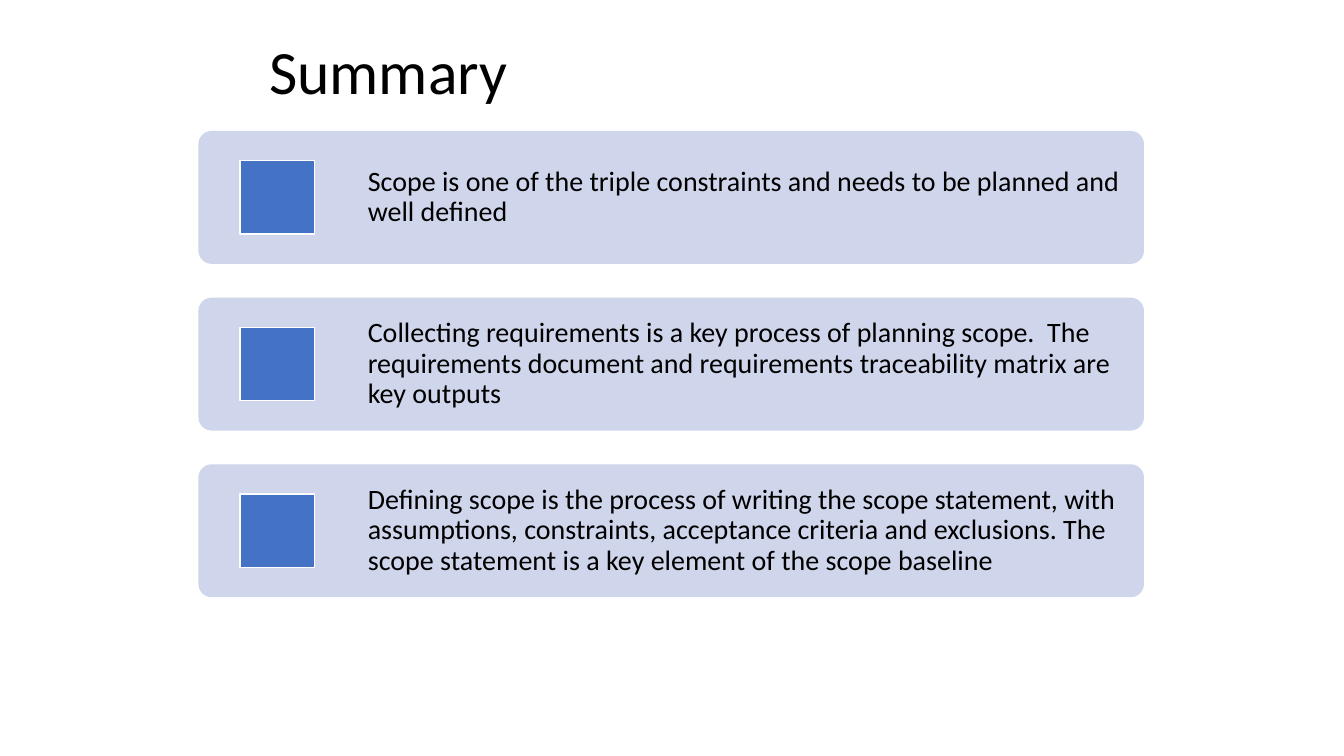
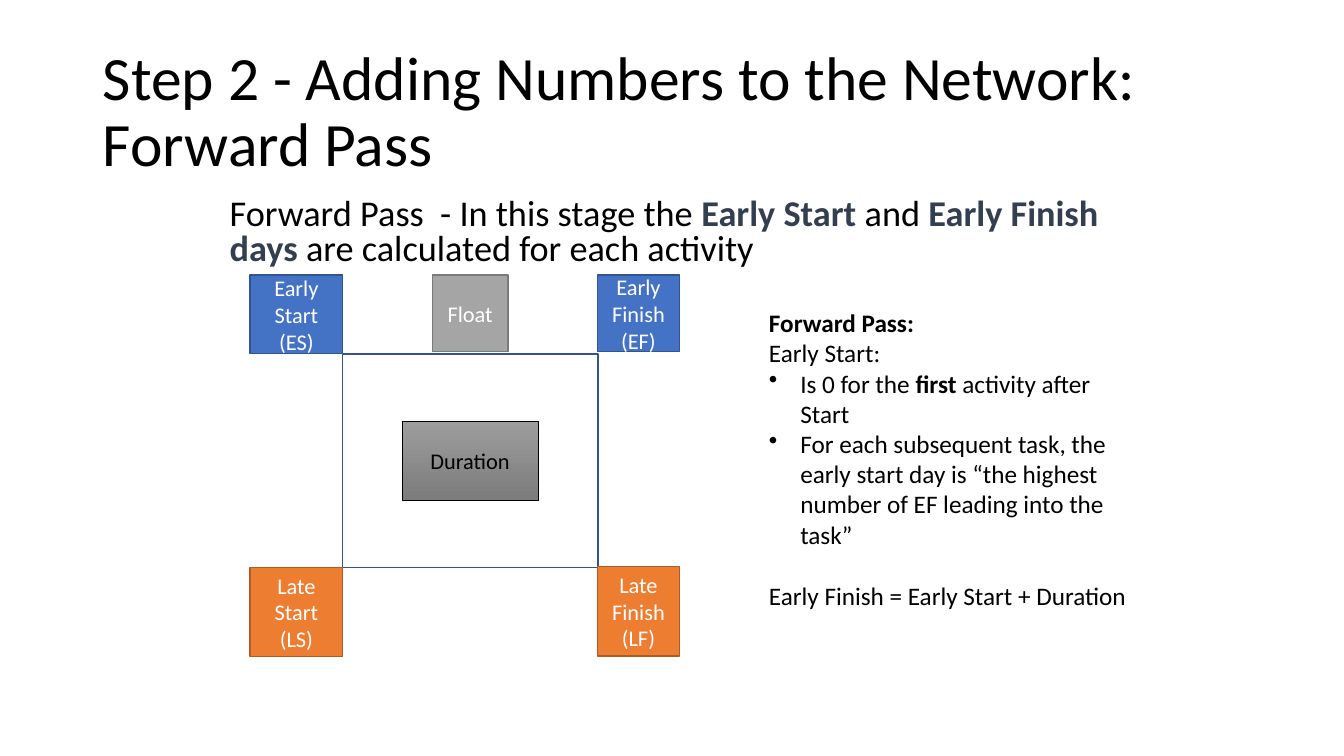
from lxml import etree
from pptx import Presentation
from pptx.dml.color import RGBColor
from pptx.enum.shapes import MSO_SHAPE
from pptx.enum.text import MSO_ANCHOR, MSO_AUTO_SIZE, PP_ALIGN
from pptx.oxml.ns import qn
from pptx.util import Cm, Pt

RECT, ROUNDED = MSO_SHAPE.RECTANGLE, MSO_SHAPE.ROUNDED_RECTANGLE
MIDDLE = MSO_ANCHOR.MIDDLE
LEFT, CENTER = PP_ALIGN.LEFT, PP_ALIGN.CENTER
NO_AUTOFIT = MSO_AUTO_SIZE.NONE

FONT = "Calibri"
COLORS = {
    "text": "000000",
    "white": "FFFFFF",
    "emphasis": "333F50",
    "card": "CFD5EA",
    "early": "4472C4",
    "early_line": "325491",
    "late": "ED7D31",
    "late_line": "AF5C24",
    "float": "A5A5A5",
    "float_line": "7A7A7A",
    "duration_top": "9D9D9D",
    "duration_bottom": "7C7C7C",
}

SUMMARY_POINTS = [
    "Scope is one of the triple constraints and needs to be planned and well defined",
    "Collecting requirements is a key process of planning scope.  The requirements "
    "document and requirements traceability matrix are key outputs",
    "Defining scope is the process of writing the scope statement, with assumptions, "
    "constraints, acceptance criteria and exclusions. The scope statement is a key "
    "element of the scope baseline",
]
# Label, colour, and left, top, width, height in cm
ACTIVITY_CORNERS = [
    ("Early Start (ES)", "early", (6.3, 6.93, 2.34, 1.98)),
    ("Early Finish (EF)", "early", (15.06, 6.93, 2.06, 1.93)),
    ("Late Start (LS)", "late", (6.3, 14.3, 2.34, 2.24)),
    ("Late Finish (LF)", "late", (15.06, 14.27, 2.06, 2.26)),
    ("Float", "float", (10.9, 6.93, 1.9, 1.93)),
]


def rgb(name):
    return RGBColor.from_string(COLORS[name])


def cm_box(box):
    return [Cm(value) for value in box]


def add_run(paragraph, text, size, color="text", bold=False):
    run = paragraph.add_run()
    run.text = text
    run.font.name = FONT
    run.font.size = Pt(size)
    run.font.bold = bold
    run.font.color.rgb = rgb(color)


def add_bullet(paragraph, indent):
    properties = paragraph._p.get_or_add_pPr()
    properties.set("marL", str(indent))
    properties.set("indent", str(-indent))
    etree.SubElement(properties, qn("a:buChar")).set("char", "•")


def add_titled_slide(prs, title, box):
    slide = prs.slides.add_slide(prs.slide_layouts[5])
    heading = slide.shapes.title
    heading.left, heading.top, heading.width, heading.height = cm_box(box)
    frame = heading.text_frame
    frame.auto_size = NO_AUTOFIT
    frame.vertical_anchor = MIDDLE
    paragraph = frame.paragraphs[0]
    paragraph.alignment = LEFT
    paragraph.line_spacing = 0.9
    add_run(paragraph, title, 44)
    return slide


def add_panel(slide, box, fill, line=None, preset=RECT):
    panel = slide.shapes.add_shape(preset, *cm_box(box))
    panel.shadow.inherit = False
    panel.fill.solid()
    panel.fill.fore_color.rgb = rgb(fill)
    if line:
        panel.line.color.rgb = rgb(line)
        panel.line.width = Pt(1)
    else:
        panel.line.fill.background()
    return panel


def add_text_frame(slide, box):
    frame = slide.shapes.add_textbox(*cm_box(box)).text_frame
    frame.word_wrap = True
    return frame


def label_panel(panel, text, color):
    panel.text_frame.vertical_anchor = MIDDLE
    paragraph = panel.text_frame.paragraphs[0]
    paragraph.alignment = CENTER
    add_run(paragraph, text, 16, color)


def add_summary_card(slide, top, text):
    height, icon_height = 3.35, 1.85
    card = add_panel(slide, (5, top, 23.83, height), "card", preset=ROUNDED)
    card.adjustments[0] = 0.1
    icon_top = top + (height - icon_height) / 2
    add_panel(slide, (6.05, icon_top, 1.88, icon_height), "early", "white")

    frame = add_text_frame(slide, (8.94, top, 19.89, height))
    frame.vertical_anchor = MIDDLE
    frame.margin_left = frame.margin_right = Cm(0.33)
    frame.margin_top = frame.margin_bottom = Cm(0.33)
    frame.paragraphs[0].line_spacing = 0.9
    add_run(frame.paragraphs[0], text, 20)


def add_activity_diagram(slide):
    add_panel(slide, (8.64, 8.92, 6.43, 5.38), "white", "early_line")
    for label, color, box in ACTIVITY_CORNERS:
        corner = add_panel(slide, box, color, color + "_line")
        label_panel(corner, label, "white")

    duration = add_panel(slide, (10.13, 10.62, 3.43, 1.98), "duration_top", "text")
    duration.line.width = Pt(0.5)
    duration.fill.gradient()
    duration.fill.gradient_angle = 270
    for stop, color in zip(duration.fill.gradient_stops,
                           ("duration_top", "duration_bottom")):
        stop.color.rgb = rgb(color)
    label_panel(duration, "Duration", "text")


def add_stage_statement(slide):
    paragraph = add_text_frame(slide, (5.54, 4.88, 22.61, 2.06)).paragraphs[0]
    paragraph.line_spacing = 0.8
    for text, emphasized in [
        ("Forward Pass  - In this stage the ", False),
        ("Early Start", True),
        (" and", False),
        (" Early Finish days ", True),
        ("are calculated for each activity", False),
    ]:
        add_run(paragraph, text, 25.9, "emphasis" if emphasized else "text", emphasized)


def add_forward_pass_rules(slide):
    frame = add_text_frame(slide, (19.13, 7.62, 9.6, 7.95))
    heading = frame.paragraphs[0]
    add_run(heading, "Forward Pass:", 18, bold=True)
    add_run(frame.add_paragraph(), "Early Start:", 18)

    for runs in [
        [("Is 0 for the ", False), ("first", True), (" activity after Start", False)],
        [("For each subsequent task, the early start day is “the highest number "
          "of EF leading into the task”", False)],
    ]:
        rule = frame.add_paragraph()
        add_bullet(rule, Cm(0.79))
        for text, bold in runs:
            add_run(rule, text, 18, bold=bold)

    formula = frame.add_paragraph()
    formula.space_before = Pt(22)
    add_run(formula, "Early Finish = Early Start + Duration", 18)


def main():
    prs = Presentation()
    prs.slide_width, prs.slide_height = Cm(33.87), Cm(19.05)

    summary = add_titled_slide(prs, "Summary", (6.53, 0.79, 20.96, 2.16))
    for index, point in enumerate(SUMMARY_POINTS):
        add_summary_card(summary, 3.3 + 4.2 * index, point)

    forward_pass = add_titled_slide(
        prs, "Step 2 - Adding Numbers to the Network: Forward Pass",
        (2.34, 1.02, 29.21, 3.68))
    add_stage_statement(forward_pass)
    add_activity_diagram(forward_pass)
    add_forward_pass_rules(forward_pass)

    prs.save("out.pptx")


if __name__ == "__main__":
    main()
